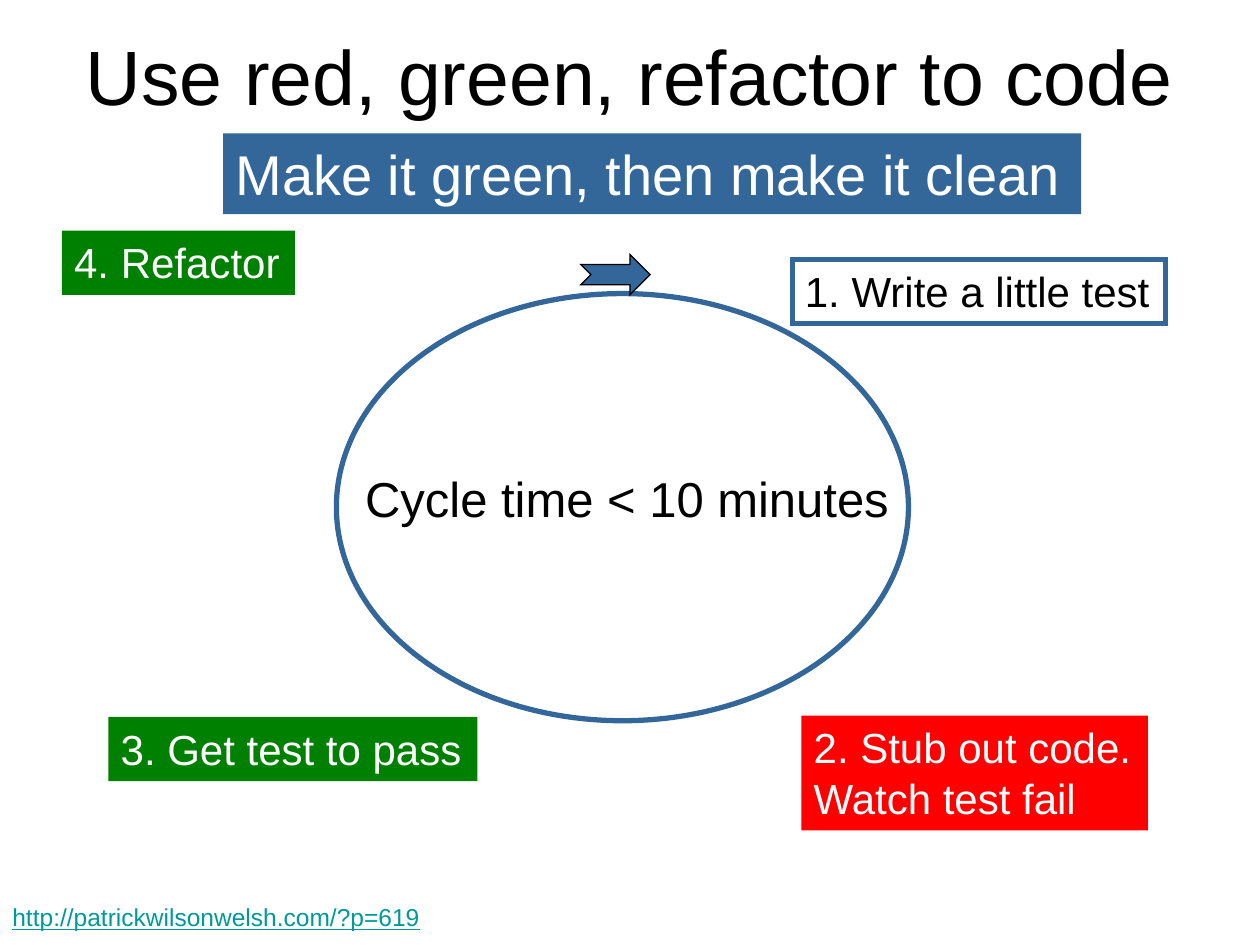
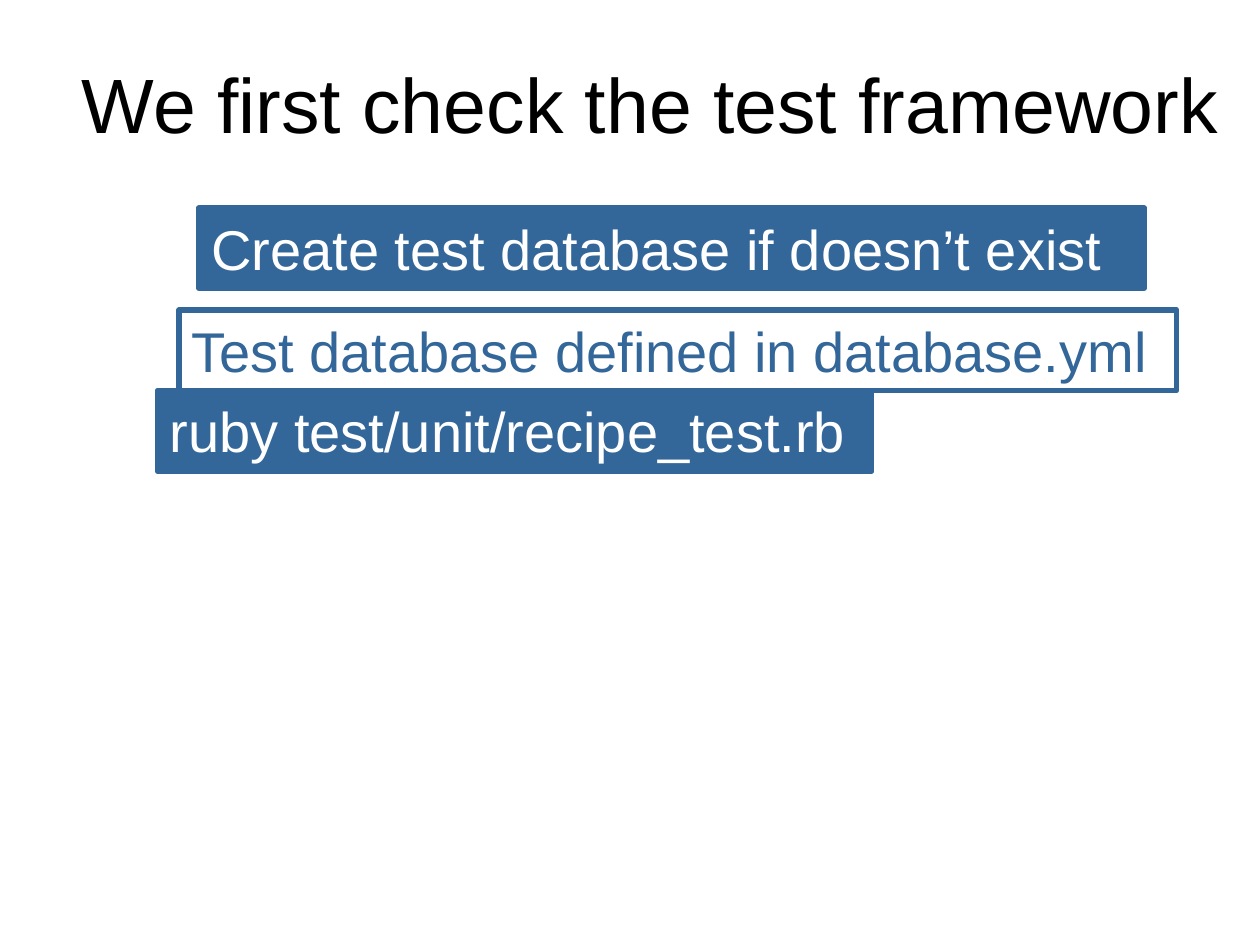
from dataclasses import dataclass

from lxml.etree import SubElement
from pptx import Presentation
from pptx.dml.color import RGBColor
from pptx.enum.shapes import MSO_SHAPE
from pptx.enum.text import MSO_ANCHOR, MSO_AUTO_SIZE, PP_ALIGN
from pptx.oxml.ns import qn
from pptx.slide import Slide
from pptx.util import Inches, Pt

COLORS = {
    "black": "000000",
    "white": "FFFFFF",
    "blue": "336699",
    "green": "008000",
    "red": "FF0000",
    "link": "009999",
}
FONT = "Arial"
FRAME = {
    "word_wrap": True,
    "auto_size": MSO_AUTO_SIZE.NONE,
    "margin_left": Inches(0.1),
    "margin_right": Inches(0),
    "margin_top": Inches(0.05),
    "margin_bottom": Inches(0.05),
}
TITLE_FRAME = FRAME | {"margin_right": Inches(0.1), "vertical_anchor": MSO_ANCHOR.MIDDLE}
BOX_FRAME = FRAME | {"vertical_anchor": MSO_ANCHOR.TOP}

Place = tuple[float, float, float, float]


@dataclass(frozen=True)
class Box:
    place: Place
    text: str = ""
    size: int = 24
    color: str = "white"
    fill: str | None = None
    line: str | None = None
    line_width: float = 3
    shape: MSO_SHAPE = MSO_SHAPE.RECTANGLE
    sharp: bool = False
    underline: bool = False


CYCLE_BOXES = [
    Box((0, 7.11, 3.46, 0.34), "http://patrickwilsonwelsh.com/?p=619", 14, "link", underline=True),
    Box((2.67, 2.33, 4.54, 3.39), fill="white", line="blue", shape=MSO_SHAPE.OVAL),
    Box((4.61, 2.02, 0.55, 0.32), fill="blue", line="black", line_width=0.75,
        shape=MSO_SHAPE.NOTCHED_RIGHT_ARROW, sharp=True),
    Box((6.29, 2.06, 2.96, 0.51), "1. Write a little test", color="black",
        fill="white", line="blue", sharp=True),
    Box((0.86, 5.69, 2.93, 0.51), "3. Get test to pass", fill="green"),
    Box((6.36, 5.68, 2.75, 0.91), "2. Stub out code.\nWatch test fail", fill="red"),
    Box((0.49, 1.83, 1.85, 0.51), "4. Refactor", fill="green"),
    Box((2.8, 3.67, 4.4, 0.57), "Cycle time < 10 minutes", 28, "black"),
    Box((1.77, 1.06, 6.81, 0.64), "Make it green, then make it clean", 32, fill="blue"),
]
FRAMEWORK_BOXES = [
    Box((1.58, 1.65, 7.5, 0.64), "Create test database if doesn’t exist", 32,
        fill="blue", line="blue"),
    Box((1.42, 2.46, 7.92, 0.64), "Test database defined in database.yml", 32, "blue",
        fill="white", line="blue"),
    Box((1.25, 3.1, 5.67, 0.64), "ruby test/unit/recipe_test.rb", 32,
        fill="blue", line="blue"),
]
SLIDES = [
    ("Use red, green, refactor to code", (0.5, 0.13, 9, 0.93), CYCLE_BOXES),
    ("We first check the test framework", (0.5, 0.3, 9.33, 1.03), FRAMEWORK_BOXES),
]


def rgb(name: str) -> RGBColor:
    return RGBColor.from_string(COLORS[name])


def set_attrs(target: object, values: dict) -> None:
    for name, value in values.items():
        setattr(target, name, value)


def write_text(sp, text: str, size: int, color: str, align: PP_ALIGN,
               frame: dict, underline: bool = False) -> None:
    tf = sp.text_frame
    set_attrs(tf, frame)
    tf.text = text
    for p in tf.paragraphs:
        p.alignment = align
        for r in p.runs:
            set_attrs(r.font, {"name": FONT, "size": Pt(size), "underline": underline})
            r.font.color.rgb = rgb(color)


def paint(sp, box: Box) -> None:
    """Set the fill and outline of a shape."""
    sp.shadow.inherit = False
    sp.fill.solid()
    sp.fill.fore_color.rgb = rgb(box.fill)
    if box.line is None:
        sp.line.fill.background()
        return
    sp.line.color.rgb = rgb(box.line)
    sp.line.width = Pt(box.line_width)
    if box.sharp:
        ln = sp.element.spPr.find(qn("a:ln"))
        SubElement(ln, qn("a:miter"), lim="800000")


def add_box(s: Slide, box: Box) -> None:
    place = [Inches(v) for v in box.place]
    if box.fill is None:
        sp = s.shapes.add_textbox(*place)
    else:
        sp = s.shapes.add_shape(box.shape, *place)
        paint(sp, box)
    if box.text:
        write_text(sp, box.text, box.size, box.color, PP_ALIGN.LEFT, BOX_FRAME, box.underline)


def add_slide(prs: Presentation, title: str, place: Place, boxes: list[Box]) -> None:
    s = prs.slides.add_slide(prs.slide_layouts.get_by_name("Title Only"))
    sp = s.shapes.title
    set_attrs(sp, dict(zip(("left", "top", "width", "height"), map(Inches, place))))
    write_text(sp, title, 44, "black", PP_ALIGN.CENTER, TITLE_FRAME)
    for box in boxes:
        add_box(s, box)


def main() -> None:
    prs = Presentation()
    prs.slide_width, prs.slide_height = Inches(10), Inches(7.5)
    for title, place, boxes in SLIDES:
        add_slide(prs, title, place, boxes)
    prs.save("out.pptx")


if __name__ == "__main__":
    main()
